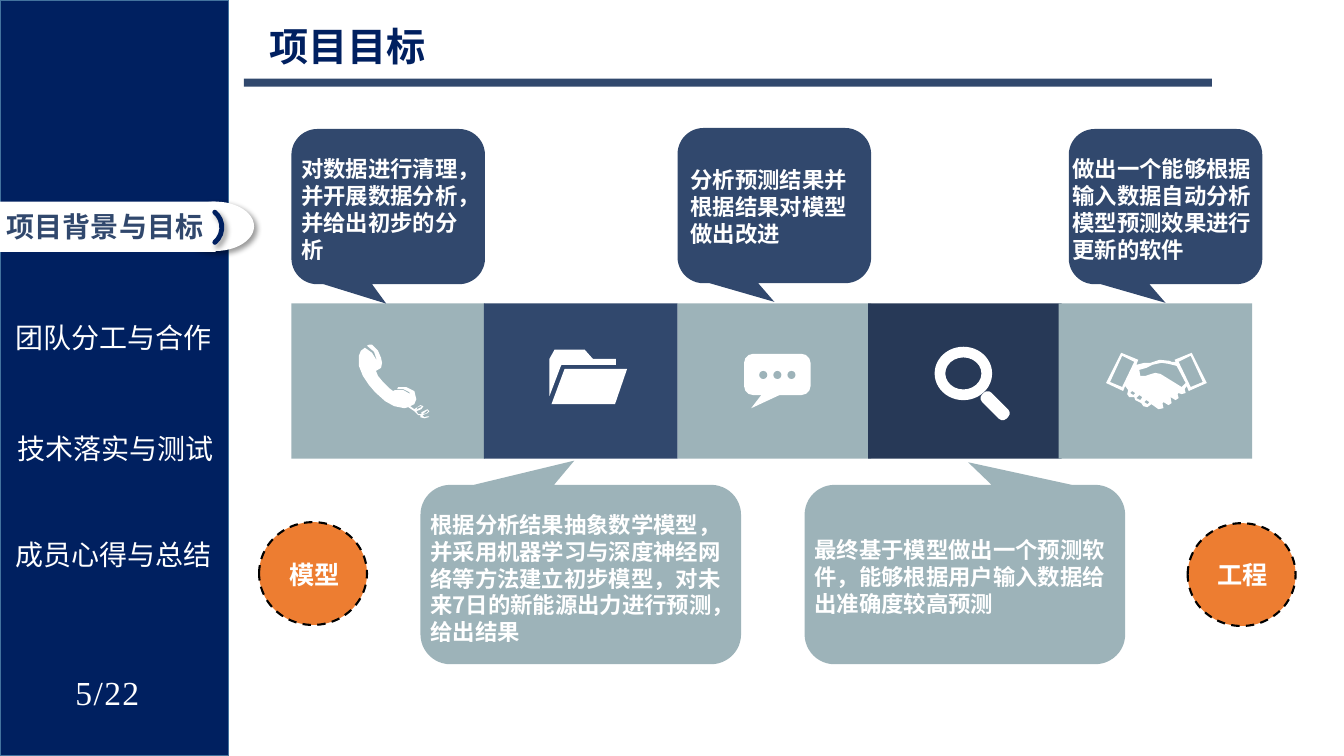
from pptx import Presentation
from pptx import util as u
from pptx.dml.color import RGBColor
from pptx.enum import dml, shapes, text
from pptx.oxml import parse_xml
from pptx.oxml.ns import nsdecls, qn

NAVY = RGBColor(0x00, 0x20, 0x60)
SIDEBAR_EDGE = RGBColor(0x43, 0x73, 0x9E)
SLATE = RGBColor(0x31, 0x48, 0x6D)
DARK_SLATE = RGBColor(0x27, 0x39, 0x57)
MIST = RGBColor(0x9D, 0xB3, 0xB9)
ORANGE = RGBColor(0xED, 0x7D, 0x31)
WHITE = RGBColor(0xFF, 0xFF, 0xFF)
BLACK = RGBColor(0x00, 0x00, 0x00)
CJK = "Noto Sans CJK SC"
KIND = shapes.MSO_SHAPE

prs = Presentation()
prs.slide_width, prs.slide_height = u.Inches(13.33), u.Inches(7.5)
slide = prs.slides.add_slide(prs.slide_layouts[6])


def draw(kind, box, fill=None, line=None, width=1, adjust=(), rotation=0, shadow=False):
    shape = slide.shapes.add_shape(kind, *[u.Inches(v) for v in box])
    shape.shadow.inherit = False
    shape.rotation = rotation
    for index, value in enumerate(adjust):
        shape.adjustments[index] = value
    if fill is None:
        shape.fill.background()
    else:
        shape.fill.solid()
        shape.fill.fore_color.rgb = fill
    if line is None:
        shape.line.fill.background()
    else:
        shape.line.color.rgb = line
        shape.line.width = u.Pt(width)
    if shadow:
        shape._element.spPr.find(qn("a:effectLst")).append(parse_xml(
            f'<a:outerShdw {nsdecls("a")} blurRad="50800" dist="38100" dir="2700000">'
            '<a:srgbClr val="000000"><a:alpha val="40000"/></a:srgbClr></a:outerShdw>'))
    return shape


def write(words, box, size=16, color=WHITE, bold=False, font=CJK, centre=False,
          wrap=True, inset=None, spacing=None):
    frame = slide.shapes.add_textbox(*[u.Inches(v) for v in box]).text_frame
    frame.word_wrap = wrap
    if inset is not None:
        frame.margin_left = frame.margin_right = u.Inches(inset)
        frame.margin_top = frame.margin_bottom = u.Inches(inset)
    paragraph = frame.paragraphs[0]
    paragraph.alignment = text.PP_ALIGN.CENTER if centre else text.PP_ALIGN.LEFT
    run = paragraph.add_run()
    run.text = words
    run.font.size, run.font.bold, run.font.name = u.Pt(size), bold, font
    run.font.color.rgb = color
    properties = run._r.get_or_add_rPr()
    properties.append(parse_xml(f'<a:ea {nsdecls("a")} typeface="{font}"/>'))
    if spacing:
        properties.set("spc", str(spacing))


draw(KIND.RECTANGLE, (0, 0, 2.27, 7.5), NAVY, SIDEBAR_EDGE)
for section, left, top in (("团队分工与合作", 0, 3.13), ("技术落实与测试", 0.02, 4.23),
                           ("成员心得与总结", 0, 5.28)):
    write(section, (left, top, 2.25, 0.44), size=20, centre=True, wrap=False)
write("5/22", (0.56, 6.67, 1.01, 0.67), size=24, font="Times New Roman",
      centre=True, inset=0, spacing=100)

draw(KIND.OVAL, (1.75, 2, 0.77, 0.49), WHITE, shadow=True)
draw(KIND.RECTANGLE, (0, 2, 2.14, 0.5), WHITE)
tab_arc = draw(KIND.ARC, (1.81, 2.06, 0.39, 0.39), line=NAVY, width=3.5,
               adjust=(164.55, 8.59), rotation=35.7, shadow=True)
tab_arc._element.spPr.find(qn("a:ln")).set("cap", "rnd")
write("项目背景与目标", (-0.03, 2.03, 2.3, 0.44), size=20, color=SLATE, bold=True)

draw(KIND.RECTANGLE, (2.42, 0.78, 9.6, 0.08), SLATE)
write("项目目标", (2.57, 0.17, 3.53, 0.57), size=28, color=NAVY, bold=True)

for left, tile_color in ((2.89, MIST), (4.8, SLATE), (6.72, MIST), (8.61, DARK_SLATE), (10.5, MIST)):
    draw(KIND.RECTANGLE, (left, 3.01, 1.92, 1.54), tile_color)

phone = [
    [(3.69, 3.42), (3.66, 3.42), (3.64, 3.43), (3.71, 3.49), (3.74, 3.58), (3.69, 3.5),
     (3.62, 3.45), (3.58, 3.48), (3.56, 3.53), (3.56, 3.63), (3.6, 3.73), (3.66, 3.82),
     (3.72, 3.89), (3.82, 3.98), (3.91, 4.03), (4.01, 4.05), (4.05, 4.04), (4.11, 4.08),
     (4.15, 4.12), (4.17, 4.12), (4.17, 4.14), (4.21, 4.15), (4.25, 4.14), (4.26, 4.13),
     (4.24, 4.13), (4.21, 4.14), (4.19, 4.12), (4.24, 4.1), (4.26, 4.08), (4.24, 4.06),
     (4.18, 4.09), (4.18, 4.11), (4.15, 4.11), (4.13, 4.08), (4.18, 4.06), (4.2, 4.03),
     (4.17, 4.02), (4.11, 4.06), (4.07, 4.03), (4.11, 4.01), (4.13, 3.96), (4.11, 3.88),
     (4.03, 3.84), (3.95, 3.84), (3.94, 3.86), (4, 3.86), (4.06, 3.89), (4.07, 3.91),
     (4, 3.87), (3.92, 3.87), (3.9, 3.88), (3.86, 3.85), (3.8, 3.79), (3.75, 3.73),
     (3.73, 3.68), (3.78, 3.65), (3.79, 3.6), (3.78, 3.55), (3.75, 3.48)],
    [(4.17, 4.03), (4.18, 4.03), (4.18, 4.04), (4.14, 4.06), (4.13, 4.07), (4.14, 4.04)],
    [(4.19, 4.11), (4.24, 4.07), (4.25, 4.08), (4.23, 4.1)],
]
folder = [
    [(6.22, 3.66), (6.1, 4.01), (5.47, 4.01), (5.6, 3.66)],
    [(5.56, 3.64), (5.57, 3.62), (6.11, 3.62), (6.11, 3.56), (5.88, 3.56), (5.8, 3.47),
     (5.5, 3.47), (5.45, 3.56), (5.45, 3.93)],
]
bubble_tail = [[(7.55, 3.9), (7.55, 3.92), (7.45, 4.05), (7.73, 3.92), (7.73, 3.9)]]
handshake = [
    [(11.77, 3.83), (11.79, 3.88), (11.97, 3.8), (11.82, 3.5), (11.65, 3.57), (11.66, 3.59),
     (11.62, 3.59), (11.6, 3.58), (11.5, 3.57), (11.41, 3.6), (11.35, 3.6), (11.27, 3.62),
     (11.29, 3.57), (11.12, 3.5), (10.97, 3.8), (11.14, 3.88), (11.16, 3.83), (11.19, 3.87),
     (11.18, 3.91), (11.2, 3.94), (11.25, 3.94), (11.26, 3.97), (11.3, 3.99), (11.32, 4),
     (11.34, 4.03), (11.38, 4.04), (11.42, 4.01), (11.49, 4.06), (11.54, 4.05), (11.53, 4),
     (11.54, 3.99), (11.59, 4.02), (11.62, 4), (11.61, 3.94), (11.66, 3.97), (11.69, 3.95),
     (11.68, 3.91), (11.69, 3.9), (11.72, 3.91), (11.76, 3.9), (11.75, 3.86)],
    [(11.13, 3.84), (11.01, 3.79), (11.13, 3.53), (11.25, 3.59)],
    [(11.81, 3.53), (11.93, 3.79), (11.81, 3.84), (11.69, 3.59)],
    [(11.43, 3.62), (11.52, 3.6), (11.59, 3.61), (11.67, 3.63), (11.76, 3.8), (11.72, 3.84),
     (11.51, 3.71), (11.46, 3.7), (11.42, 3.71), (11.36, 3.73), (11.31, 3.73), (11.3, 3.67),
     (11.37, 3.65)],
    [(11.24, 3.92), (11.21, 3.9), (11.23, 3.88), (11.26, 3.9)],
    [(11.31, 3.97), (11.27, 3.95), (11.3, 3.92), (11.33, 3.94)],
    [(11.38, 4.01), (11.35, 3.99), (11.37, 3.97), (11.4, 3.99)],
]
for icon in (phone, folder, bubble_tail, handshake):
    builder = None
    for contour in icon:
        points = [(u.Inches(x), u.Inches(y)) for x, y in contour]
        if builder is None:
            builder = slide.shapes.build_freeform(*points[0])
        else:
            builder.move_to(*points[0])
        builder.add_line_segments(points[1:], close=True)
    drawn = builder.convert_to_shape()
    drawn.shadow.inherit = False
    drawn.fill.solid()
    drawn.fill.fore_color.rgb = WHITE
    drawn.line.fill.background()

draw(KIND.ROUNDED_RECTANGLE, (7.38, 3.51, 0.66, 0.41), WHITE, adjust=(0.22,))
for dot in range(3):
    draw(KIND.OVAL, (7.53 + 0.14 * dot, 3.68, 0.08, 0.08), MIST)
draw(KIND.DONUT, (9.27, 3.44, 0.57, 0.53), WHITE, adjust=(0.2,))
draw(KIND.ROUNDED_RECTANGLE, (9.7, 3.96, 0.34, 0.13), WHITE, adjust=(0.4,), rotation=45)

callouts = (
    ((2.89, 1.28, 1.92, 1.54), (-0.01, 0.625), SLATE, (2.89, 1.49, 1.92, 1.18),
     "对数据进行清理，并开展数据分析，并给出初步的分析"),
    ((4.17, 4.81, 3.18, 1.78), (-0.02, -0.635), MIST, (4.17, 5.02, 3.18, 1.36),
     "根据分析结果抽象数学模型，并采用机器学习与深度神经网络等方法建立初步模型，对未来7日的新能源出力进行预测，给出结果"),
    ((6.72, 1.27, 1.92, 1.54), (0, 0.62), SLATE, (6.75, 1.6, 1.92, 0.86),
     "分析预测结果并根据结果对模型做出改进"),
    ((7.98, 4.81, 3.18, 1.78), (0.01, -0.626), MIST, (7.98, 5.27, 3.18, 0.86),
     "最终基于模型做出一个预测软件，能够根据用户输入数据给出准确度较高预测"),
    ((10.6, 1.28, 1.92, 1.54), (0, 0.62), SLATE, (10.54, 1.49, 2.05, 1.11),
     "做出一个能够根据输入数据自动分析模型预测效果进行更新的软件"),
)
for bubble, tip, color, words_box, words in callouts:
    draw(KIND.ROUNDED_RECTANGULAR_CALLOUT, bubble, color, adjust=(*tip, 0.167))
    write(words, words_box, bold=True)

for label, left, top in (("模型", 2.57, 5.18), ("工程", 11.78, 5.19)):
    badge = draw(KIND.OVAL, (left, top, 1.07, 1.02), ORANGE, BLACK, 1.5)
    badge.line.dash_style = dml.MSO_LINE.DASH
    write(label, (left + 0.2, 5.5, 0.7, 0.4), size=18, bold=True)

prs.save("out.pptx")
